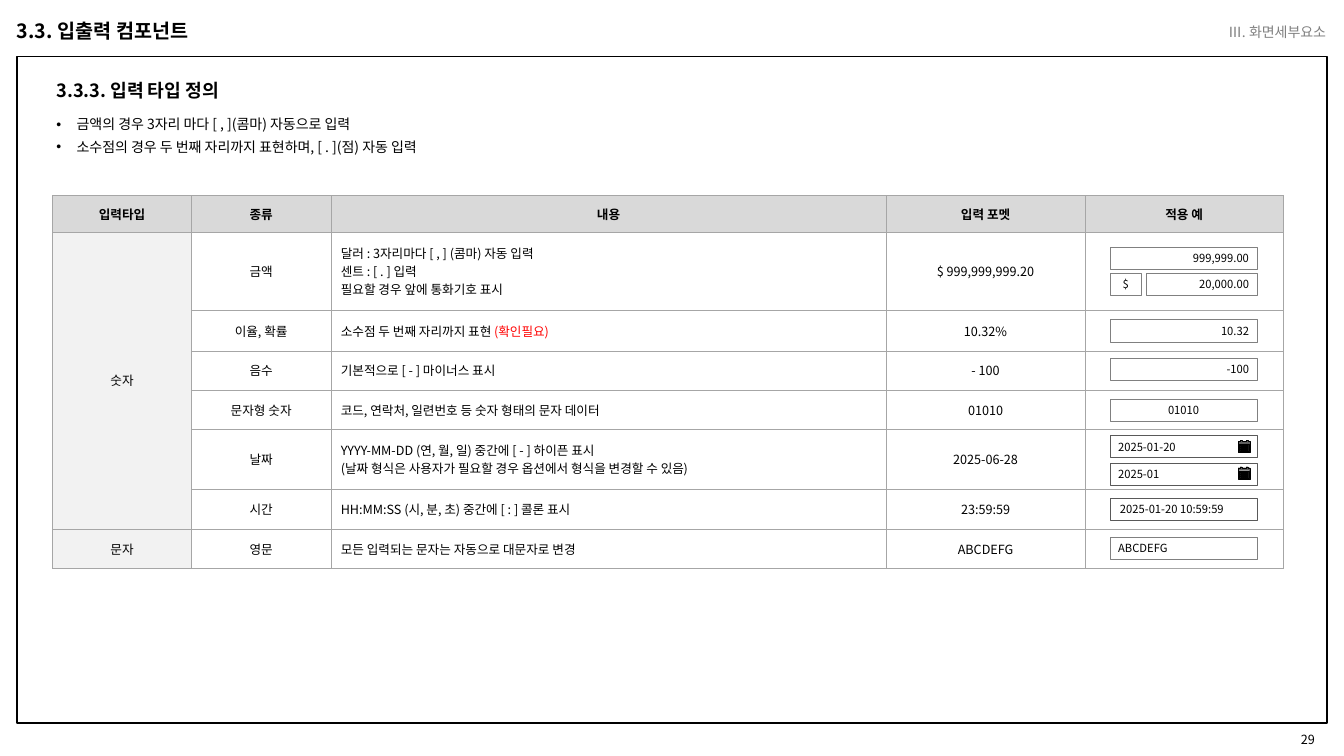
from dataclasses import dataclass

from lxml.etree import SubElement
from pptx import Presentation
from pptx.dml.color import RGBColor
from pptx.enum.shapes import MSO_SHAPE
from pptx.enum.text import MSO_ANCHOR, MSO_AUTO_SIZE, PP_ALIGN
from pptx.oxml.ns import qn
from pptx.slide import Slide
from pptx.table import _Cell
from pptx.text.text import TextFrame, _Paragraph
from pptx.util import Inches, Pt

FONT = "Noto Sans CJK KR"
BLACK = RGBColor(0x00, 0x00, 0x00)
WHITE = RGBColor(0xFF, 0xFF, 0xFF)
RED = RGBColor(0xFF, 0x00, 0x00)
GRAY = RGBColor(0x80, 0x80, 0x80)
DARK_GRAY = RGBColor(0x59, 0x59, 0x59)
ICON_GRAY = RGBColor(0x5F, 0x5F, 0x5F)
HEADER_FILL = RGBColor(0xD9, 0xD9, 0xD9)
TYPE_FILL = RGBColor(0xF2, 0xF2, 0xF2)
BORDER = RGBColor(0xA6, 0xA6, 0xA6)

LEFT, CENTER, RIGHT = PP_ALIGN.LEFT, PP_ALIGN.CENTER, PP_ALIGN.RIGHT


@dataclass(frozen=True)
class Label:
    text: str
    left: float
    top: float
    width: float
    height: float
    size: float
    bold: bool = False
    color: RGBColor = BLACK
    align: PP_ALIGN = LEFT
    anchor: MSO_ANCHOR = MSO_ANCHOR.MIDDLE
    inset: float = 0.1
    spacing: float = 1.0


@dataclass(frozen=True)
class InputRule:
    kind: str
    details: tuple[str, ...]
    sample: str
    height: float
    warning: str = ""


@dataclass(frozen=True)
class Field:
    text: str
    top: float
    align: PP_ALIGN = LEFT
    left: float = 11.01
    width: float = 1.46
    outline: RGBColor = GRAY
    inset: float = 0.08


LABELS = [
    Label("29", 12.44, 7.18, 0.69, 0.31, 9, align=RIGHT, inset=0.09),
    Label("3.3. 입출력 컴포넌트", 0.07, 0.14, 1.98, 0.34, 14, bold=True, anchor=MSO_ANCHOR.TOP),
    Label("3.3.3. 입력 타입 정의", 0.56, 0.7, 9.84, 0.28, 13, bold=True, inset=0, spacing=1.5),
    Label("Ⅲ. 화면세부요소", 11.52, 0.13, 1.73, 0.38, 10, color=GRAY, align=RIGHT),
]
NOTES = [
    "금액의 경우 3자리 마다 [ , ](콤마) 자동으로 입력",
    "소수점의 경우 두 번째 자리까지 표현하며, [ . ](점) 자동 입력",
]
HEADINGS = ["입력타입", "종류", "내용", "입력 포멧", "적용 예"]
COLUMN_WIDTHS = [1.38, 1.38, 5.51, 1.97, 1.97]
HEADING_HEIGHT = 0.36
RULES = [
    InputRule("금액", ("달러 : 3자리마다 [ , ] (콤마) 자동 입력", "센트 : [ . ] 입력",
                     "필요할 경우 앞에 통화기호 표시"), "$ 999,999,999.20", 0.78),
    InputRule("이율, 확률", ("소수점 두 번째 자리까지 표현 ",), "10.32%", 0.4, "(확인필요)"),
    InputRule("음수", ("기본적으로 [ - ] 마이너스 표시",), "- 100", 0.39),
    InputRule("문자형 숫자", ("코드, 연락처, 일련번호 등 숫자 형태의 문자 데이터",), "01010", 0.39),
    InputRule("날짜", ("YYYY-MM-DD (연, 월, 일) 중간에 [ - ] 하이픈 표시",
                     "(날짜 형식은 사용자가 필요할 경우 옵션에서 형식을 변경할 수 있음)"),
              "2025-06-28", 0.59),
    InputRule("시간", ("HH:MM:SS (시, 분, 초) 중간에 [ : ] 콜론 표시",), "23:59:59", 0.4),
    InputRule("영문", ("모든 입력되는 문자는 자동으로 대문자로 변경",), "ABCDEFG", 0.39),
]
TYPE_NAMES = {1: "숫자", 7: "문자"}
FIELDS = [
    Field("999,999.00", 2.45, RIGHT),
    Field("$", 2.71, CENTER, width=0.31),
    Field("20,000.00", 2.71, RIGHT, left=11.37, width=1.1),
    Field("10.32", 3.17, RIGHT),
    Field("-100", 3.55, RIGHT),
    Field("01010", 3.96, CENTER),
    Field("2025-01-20", 4.32, outline=DARK_GRAY),
    Field("2025-01", 4.59, outline=DARK_GRAY),
    Field("2025-01-20 10:59:59", 4.94, outline=DARK_GRAY, inset=0.1),
    Field("ABCDEFG", 5.33),
]
CALENDAR_TOPS = [4.37, 4.63]
CALENDAR_OUTLINE = [(0, 1), (2, 1), (2, 0), (4, 0), (4, 1), (8, 1), (8, 0),
                    (10, 0), (10, 1), (12, 1), (12, 12), (0, 12)]


def add_run(paragraph: _Paragraph, text: str, size: float,
            color: RGBColor = BLACK, bold: bool = False) -> None:
    run = paragraph.add_run()
    run.text = text
    run.font.size = Pt(size)
    run.font.bold = bold
    run.font.color.rgb = color
    run.font.name = FONT
    SubElement(run._r.get_or_add_rPr(), qn("a:ea"), typeface=FONT)


def set_insets(frame: TextFrame, side: float, end: float) -> None:
    frame.margin_left = frame.margin_right = Inches(side)
    frame.margin_top = frame.margin_bottom = Inches(end)


def add_label(slide: Slide, label: Label) -> None:
    box = slide.shapes.add_textbox(Inches(label.left), Inches(label.top),
                                   Inches(label.width), Inches(label.height))
    frame = box.text_frame
    frame.word_wrap = True
    frame.vertical_anchor = label.anchor
    set_insets(frame, label.inset, label.inset / 2)
    paragraph = frame.paragraphs[0]
    paragraph.alignment = label.align
    paragraph.line_spacing = label.spacing
    add_run(paragraph, label.text, label.size, label.color, label.bold)


def add_notes_list(slide: Slide) -> None:
    box = slide.shapes.add_textbox(Inches(0.56), Inches(1.15), Inches(10.55), Inches(0.39))
    frame = box.text_frame
    frame.word_wrap = True
    frame.auto_size = MSO_AUTO_SIZE.SHAPE_TO_FIT_TEXT
    set_insets(frame, 0, 0)
    for index, note in enumerate(NOTES):
        paragraph = frame.add_paragraph() if index else frame.paragraphs[0]
        properties = paragraph._p.get_or_add_pPr()
        properties.set("marL", str(Inches(0.2)))
        properties.set("indent", str(-Inches(0.2)))
        SubElement(properties, qn("a:buFont"), typeface="Arial")
        SubElement(properties, qn("a:buChar"), char="•")
        if index:
            paragraph.space_before = Pt(4)
        add_run(paragraph, note, 10)


def style_cell(cell: _Cell, fill: RGBColor) -> None:
    cell.vertical_anchor = MSO_ANCHOR.MIDDLE
    cell.margin_left = cell.margin_right = Inches(0.1)
    cell.margin_top = cell.margin_bottom = Inches(0)
    properties = cell._tc.get_or_add_tcPr()
    for side in ("lnL", "lnR", "lnT", "lnB"):
        line = SubElement(properties, qn(f"a:{side}"), w=str(Pt(0.25)))
        paint = SubElement(line, qn("a:solidFill"))
        SubElement(paint, qn("a:srgbClr"), val=str(BORDER))
    cell.fill.solid()
    cell.fill.fore_color.rgb = fill


def write_cell(cell: _Cell, lines: tuple[str, ...], align: PP_ALIGN = CENTER,
               bold: bool = False) -> None:
    for index, line in enumerate(lines):
        paragraph = cell.text_frame.add_paragraph() if index else cell.text_frame.paragraphs[0]
        paragraph.alignment = align
        add_run(paragraph, line, 9, bold=bold)


def add_rule_table(slide: Slide) -> None:
    heights = [HEADING_HEIGHT] + [rule.height for rule in RULES]
    table = slide.shapes.add_table(len(heights), len(HEADINGS), Inches(0.52), Inches(1.94),
                                   Inches(sum(COLUMN_WIDTHS)), Inches(sum(heights))).table
    table.first_row = table.horz_banding = False
    for column, width in zip(table.columns, COLUMN_WIDTHS):
        column.width = Inches(width)
    for row_index, height in enumerate(heights):
        table.rows[row_index].height = Inches(height)
        for column_index in range(len(HEADINGS)):
            body_fill = WHITE if column_index else TYPE_FILL
            style_cell(table.cell(row_index, column_index),
                       body_fill if row_index else HEADER_FILL)
    table.cell(1, 0).merge(table.cell(6, 0))
    for column_index, heading in enumerate(HEADINGS):
        write_cell(table.cell(0, column_index), (heading,), bold=True)
    for row_index, name in TYPE_NAMES.items():
        write_cell(table.cell(row_index, 0), (name,))
    for row_index, rule in enumerate(RULES, 1):
        kind, details, sample = (table.cell(row_index, column) for column in (1, 2, 3))
        write_cell(kind, (rule.kind,))
        write_cell(details, rule.details, LEFT)
        if rule.warning:
            add_run(details.text_frame.paragraphs[0], rule.warning, 9, RED)
        write_cell(sample, (rule.sample,))
        sample.text_frame.paragraphs[0].line_spacing = Pt(13)


def add_field(slide: Slide, field: Field) -> None:
    box = slide.shapes.add_shape(MSO_SHAPE.RECTANGLE, Inches(field.left), Inches(field.top),
                                 Inches(field.width), Inches(0.22))
    box.shadow.inherit = False
    box.fill.solid()
    box.fill.fore_color.rgb = WHITE
    box.line.color.rgb = field.outline
    box.line.width = Pt(0.25)
    frame = box.text_frame
    frame.word_wrap = True
    frame.vertical_anchor = MSO_ANCHOR.MIDDLE
    set_insets(frame, field.inset, 0)
    frame.paragraphs[0].alignment = field.align
    add_run(frame.paragraphs[0], field.text, 8)


def add_calendar(slide: Slide, top: float) -> None:
    builder = slide.shapes.build_freeform(*CALENDAR_OUTLINE[0], scale=Inches(0.01))
    builder.add_line_segments(CALENDAR_OUTLINE[1:], close=True)
    builder.move_to(1, 4)
    builder.add_line_segments([(11, 4), (11, 11), (1, 11)], close=True)
    for x in (2, 4, 6, 8):
        for y in (5, 7, 9):
            builder.move_to(x, y)
            builder.add_line_segments([(x + 2, y), (x + 2, y + 1), (x, y + 1)], close=True)
    calendar = builder.convert_to_shape(Inches(12.28), Inches(top))
    calendar.shadow.inherit = False
    calendar.fill.solid()
    calendar.fill.fore_color.rgb = ICON_GRAY
    calendar.line.color.rgb = BLACK
    calendar.line.width = Pt(0.25)


def main() -> None:
    presentation = Presentation()
    presentation.slide_width = Inches(13.33)
    presentation.slide_height = Inches(7.5)
    slide = presentation.slides.add_slide(presentation.slide_layouts[6])
    border = slide.shapes.add_shape(MSO_SHAPE.RECTANGLE, Inches(0.17), Inches(0.56),
                                    Inches(12.99), Inches(6.61))
    border.shadow.inherit = False
    border.fill.background()
    border.line.color.rgb = BLACK
    border.line.width = Pt(1.3)
    for label in LABELS:
        add_label(slide, label)
    add_notes_list(slide)
    add_rule_table(slide)
    for field in FIELDS:
        add_field(slide, field)
    for top in CALENDAR_TOPS:
        add_calendar(slide, top)
    presentation.save("out.pptx")


if __name__ == "__main__":
    main()
